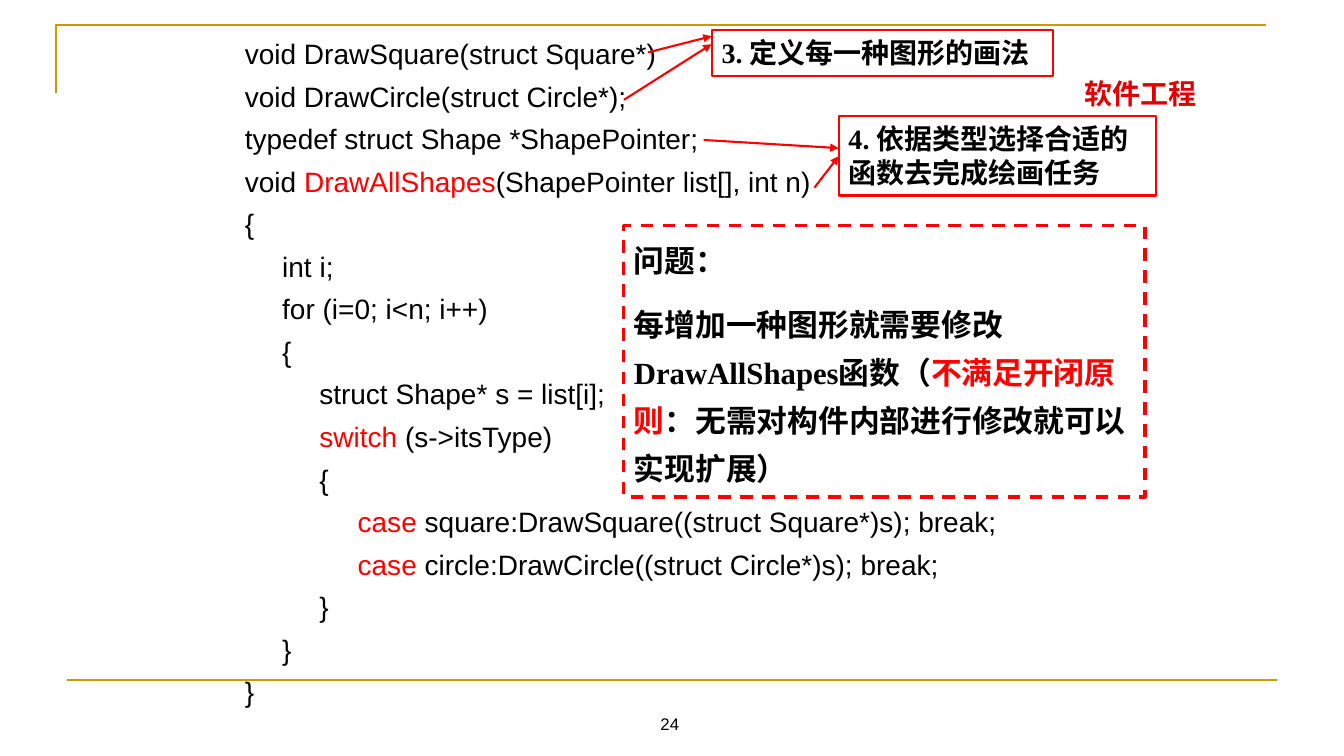
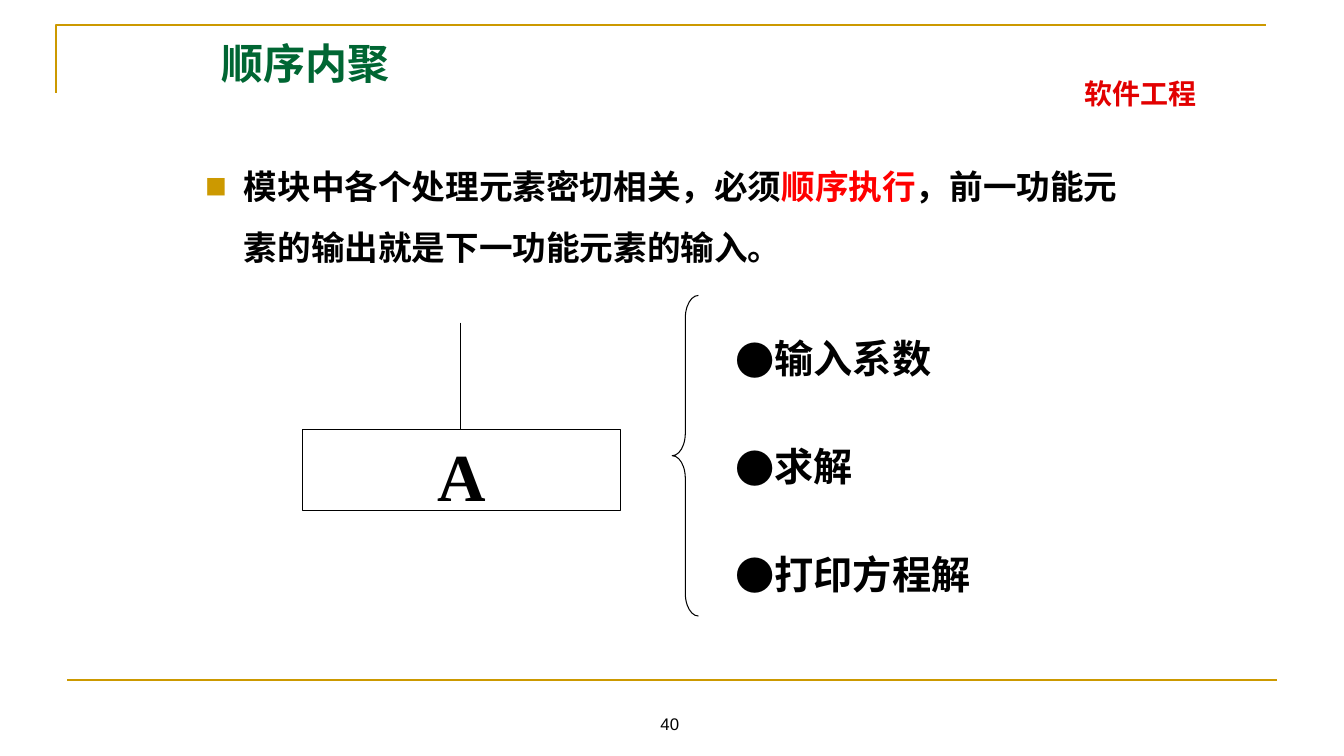
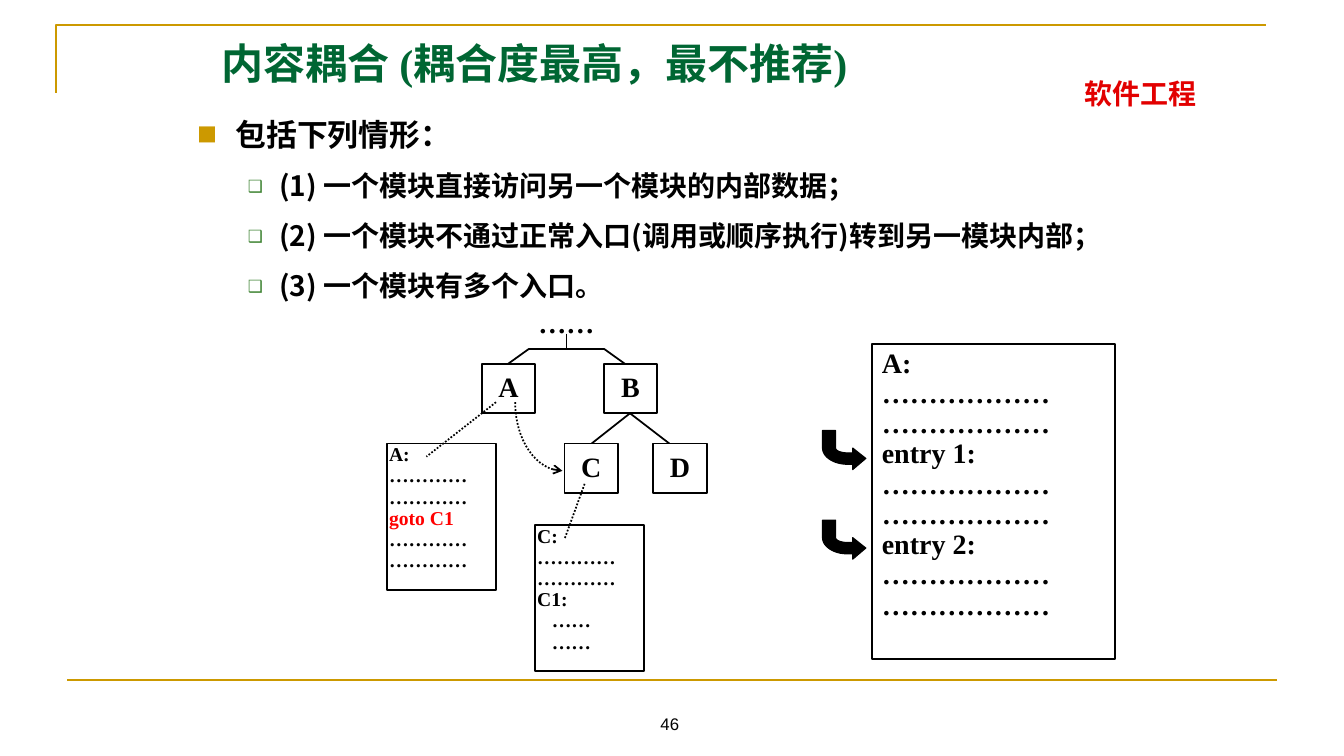
import math
from lxml import etree
from pptx import Presentation
from pptx.dml.color import RGBColor
from pptx.enum import dml, shapes, text
from pptx.oxml import ns
from pptx.util import Pt

BLACK, WHITE, RED = "000000", "FFFFFF", "FF0000"
GOLD, GREEN, CRIMSON, LEAF = "CC9900", "006633", "E20000", "3B812F"
SERIF, SANS, CJK = "Times New Roman", "Arial", "Noto Sans CJK SC"
CENTER = text.PP_ALIGN.CENTER
DOTTED = dml.MSO_LINE.ROUND_DOT
SQUARE = dict(bullet="■", bullet_color=GOLD, bullet_size=65)
HOLLOW = dict(bullet="❑", bullet_color=LEAF, bullet_size=60)


def rgb(color):
    return RGBColor.from_string(color)


def add_xml(parent, tag, **attributes):
    return etree.SubElement(parent, ns.qn(tag), attributes)


def add_para(frame, words, size=20, color=BLACK, accent=RED, bold=True, font=SERIF, asian=CJK,
             line=None, before=0, align=text.PP_ALIGN.LEFT, left=0, hang=0,
             bullet=None, bullet_color=BLACK, bullet_size=100):
    para = frame.add_paragraph() if frame.text else frame.paragraphs[0]
    para.alignment = align
    para.space_before = Pt(before)
    if line:
        para.line_spacing = Pt(line)
    for index, part in enumerate(words.split("|")):
        if not part:
            continue
        span = para.add_run()
        span.text = part
        span.font.size = Pt(size)
        span.font.bold = bold
        span.font.name = font
        span.font.color.rgb = rgb(accent if index % 2 else color)
        latin = span.font._element.find(ns.qn("a:latin"))
        latin.addnext(latin.makeelement(ns.qn("a:ea"), {"typeface": asian}))
    layout = para._p.get_or_add_pPr()
    layout.set("marL", str(Pt(left)))
    layout.set("indent", str(Pt(-hang)))
    if bullet:
        add_xml(add_xml(layout, "a:buClr"), "a:srgbClr", val=bullet_color)
        add_xml(layout, "a:buSzPct", val=str(bullet_size * 1000))
        add_xml(layout, "a:buFont", typeface=CJK)
        add_xml(layout, "a:buChar", char=bullet)


def fill_frame(frame, lines, inset=(7.2, 3.6), anchor=text.MSO_ANCHOR.TOP, first=0, **style):
    frame.word_wrap = True
    frame.auto_size = text.MSO_AUTO_SIZE.NONE
    frame.vertical_anchor = anchor
    frame.margin_left = frame.margin_right = Pt(inset[0])
    frame.margin_top = frame.margin_bottom = Pt(inset[1])
    for index, line in enumerate(lines):
        words, extra = line if isinstance(line, tuple) else (line, {})
        look = {**style, **extra}
        if index == 0:
            look["before"] = first
        add_para(frame, words, **look)


def paint(shape, outline=BLACK, weight=1.25, fill=None, dash=None):
    shape.shadow.inherit = False
    if fill:
        shape.fill.solid()
        shape.fill.fore_color.rgb = rgb(fill)
    else:
        shape.fill.background()
    shape.line.color.rgb = rgb(outline)
    shape.line.width = Pt(weight)
    if dash:
        shape.line.dash_style = dash


def add_text(page, box, lines, **style):
    area = page.shapes.add_textbox(*map(Pt, box))
    fill_frame(area.text_frame, lines, **style)
    return area


def add_panel(page, box, lines, outline=BLACK, weight=1.25, fill=None, dash=None, **style):
    panel = page.shapes.add_shape(shapes.MSO_SHAPE.RECTANGLE, *map(Pt, box))
    paint(panel, outline, weight, fill, dash)
    fill_frame(panel.text_frame, lines, **style)


def add_arrowhead(shape, kind):
    add_xml(shape.line._get_or_add_ln(), "a:tailEnd", type=kind)


def add_line(page, start, end, color=BLACK, weight=1.25, dash=None, head=None):
    line = page.shapes.add_connector(shapes.MSO_CONNECTOR.STRAIGHT, *map(Pt, start + end))
    line.line.color.rgb = rgb(color)
    line.line.width = Pt(weight)
    if dash:
        line.line.dash_style = dash
    if head:
        add_arrowhead(line, head)
    add_xml(line._element.spPr, "a:effectLst")
    return line


def add_outline(page, points, close=False, **look):
    spots = [(Pt(x), Pt(y)) for x, y in points]
    builder = page.shapes.build_freeform(*spots[0], scale=1.0)
    builder.add_line_segments(spots[1:], close=close)
    outline = builder.convert_to_shape()
    paint(outline, **look)
    return outline


def quarter(center, radii, start, end, steps=16):
    angles = [math.radians(start + (end - start) * i / steps) for i in range(steps + 1)]
    return [(center[0] + radii[0] * math.cos(a), center[1] + radii[1] * math.sin(a))
            for a in angles]


def dress_master(deck, page):
    parts = [
        add_outline(page, [(40.3, 66.2), (40.3, 18), (904.3, 18)], outline=GOLD, weight=1.5),
        add_line(page, (48.2, 486), (912.2, 486), GOLD, 1.5),
        add_text(page, (661.7, 49, 306, 31), ["软件工程"], color=CRIMSON, line=26,
                 font="Noto Sans CJK JP", align=CENTER),
    ]
    for number, part in enumerate(parts, 101):
        part._element.xpath(".//p:cNvPr")[0].set("id", str(number))
        deck.slide_master.shapes._spTree.append(part._element)


def add_page(deck, number, title=None):
    page = deck.slides.add_slide(deck.slide_layouts[5 if title else 6])
    if title:
        heading = page.shapes.title
        heading.left, heading.top, heading.width, heading.height = map(Pt, (151.2, 20.2, 612, 56.9))
        fill_frame(heading.text_frame, [title], size=30, color=GREEN, line=39)
    add_text(page, (366.5, 491.8, 223.9, 36), [str(number)], anchor=text.MSO_ANCHOR.BOTTOM,
             size=12, bold=False, font=SANS, align=CENTER)
    return page


def add_code(page, box):
    levels = [(27.4, 27.4), (52.6, 25.9), (80.6, 27.4), (105.8, 25.2)]
    code = [
        (0, "void DrawSquare(struct Square*)"),
        (0, "void DrawCircle(struct Circle*);"),
        (0, "typedef struct Shape *ShapePointer;"),
        (0, "void |DrawAllShapes|(ShapePointer list[], int n)"),
        (0, "{"),
        (1, "int i;"),
        (1, "for (i=0; i<n; i++)"),
        (1, "{"),
        (2, "struct Shape* s = list[i];"),
        (2, "|switch| (s->itsType)"),
        (2, "{"),
        (3, "|case| square:DrawSquare((struct Square*)s); break;"),
        (3, "|case| circle:DrawCircle((struct Circle*)s); break;"),
        (2, "}"),
        (1, "}"),
        (0, "}"),
    ]
    # indents follow the nesting level
    lines = [(words, dict(left=levels[level][0], hang=0)) for level, words in code]
    lines = [(words, dict(look, left=look["left"] - (levels[level][1]), hang=0))
             for (level, _), (words, look) in zip(code, lines)]
    add_text(page, box, lines, bold=False, font=SANS, line=26.4, before=4, first=0.5)


def add_callout(page, box, words, tails):
    add_panel(page, box, [words], outline=RED, weight=1.5, line=24.5, first=1.5)
    for start, drop in tails:
        add_line(page, start, (box[0], box[1] + drop), RED, 1.5, head="triangle")


def add_problem(page, box):
    add_panel(page, box, [
        "问题：",
        "每增加一种图形就需要修改DrawAllShapes函数（|不满足开闭原则|：无需对构件内部进行修改就可以实现扩展）",
    ], outline=RED, weight=2.25, dash=dml.MSO_LINE.DASH, size=22, line=34.3, before=11, first=2)


def add_module(page, left, top):
    add_panel(page, (left, top + 76.5, 227, 57.6), ["A"], weight=0.75, fill=WHITE,
              size=48, align=CENTER, first=5)
    add_line(page, (left + 113.2, top), (left + 113.2, top + 76.5), weight=0.75)


def add_steps(page, left, top):
    brace = page.shapes.add_shape(shapes.MSO_SHAPE.LEFT_BRACE, *map(Pt, (left, top + 18.8, 18.7, 229)))
    brace.adjustments[0] = 0.867
    paint(brace, weight=0.75)
    add_text(page, (left + 38.2, top, 208, 248.4),
             [("输入系数", dict(font="Karla")), "求解", "打印方程解"],
             size=28, line=77, first=3.5, bullet="●")


def add_listing(page, box, lines):
    add_panel(page, box, lines, fill=WHITE, inset=(1.4, 0.7), size=14, line=15.1, asian=SERIF)


def add_call_tree(page, left, top):
    def at(x, y):
        return left + x, top + y

    add_text(page, at(101.5, 0) + (53.3, 21.6), ["……"], inset=(4.3, 0.7), line=22.5,
             asian=SERIF, align=CENTER)
    for start, end in [
        ((128.1, 19.4), (128.1, 30.2)), ((101.5, 30.2), (154.8, 30.2)),
        ((101.5, 30.2), (86.4, 41)), ((154.8, 30.2), (169.9, 41)),
        ((173.5, 76.3), (146.1, 97.9)), ((173.5, 76.3), (201.6, 97.9)),
    ]:
        add_line(page, at(*start), at(*end))
    for name, x, y in [("A", 67.7, 41), ("B", 154.8, 41), ("C", 126.7, 97.9), ("D", 190.1, 97.9)]:
        add_panel(page, at(x, y) + (38.2, 35.3), [name], fill=WHITE, inset=(1.4, 4.3),
                  line=24, align=CENTER)
    jump = add_outline(page, quarter(at(125.3, 68.4), (33.8, 49), 180, 90), dash=DOTTED)
    add_arrowhead(jump, "arrow")
    dots, short = "…………", ("……", dict(left=10.5))
    add_listing(page, at(0, 97.9) + (77.8, 104.4), ["A:", dots, dots, "|goto C1|", dots, dots])
    add_listing(page, at(105.8, 156.2) + (77.8, 104.4), ["C:", dots, dots, "C1:", short, short])
    add_line(page, at(77.8, 68.4), at(28.1, 107.3), dash=DOTTED)
    add_line(page, at(141.1, 126.7), at(126.7, 166.3), dash=DOTTED)


def add_entry_arrow(page, left, top):
    points = [(31, 20), (21.6, 28), (21.6, 24.2)]
    points += quarter((18, 12.5), (18, 11.7), 90, 180)
    points += [(0, 0), (9.4, 0)]
    points += quarter((18, 12.5), (8.6, 3.5), 180, 90)
    points += [(21.6, 16), (21.6, 12.5)]
    add_outline(page, [(left + x, top + y) for x, y in points], close=True, fill=BLACK, weight=0.75)


def add_entries(page, left, top):
    dots = "………………"
    lines = [words for label in ("A:", "entry 1:", "entry 2:") for words in (label, dots, dots)]
    add_panel(page, (left + 35.3, top, 173.5, 225.4), lines, fill=WHITE, line=21.6, asian=SERIF)
    for drop in (62, 126):
        add_entry_arrow(page, left, top + drop)


def build_code_page(deck):
    page = add_page(deck, 24)
    dress_master(deck, page)
    add_code(page, (167.8, 20.2, 563.8, 504.7))
    add_problem(page, (445.7, 161.3, 372.2, 193.7))
    add_callout(page, (508.3, 21.6, 244, 32.6), "3. 定义每一种图形的画法",
                [((463, 37.4), 4.3), ((445.7, 71.3), 10)])
    add_callout(page, (599, 82.8, 226.8, 56.9), "4. 依据类型选择合适的函数去完成绘画任务",
                [((502.6, 100), 23), ((581.8, 134), 28.8)])


def build_cohesion_page(deck):
    page = add_page(deck, 40, "顺序内聚")
    add_text(page, (139.7, 100.1, 686.2, 108),
             ["模块中各个处理元素密切相关，必须|顺序执行|，前一功能元素的输出就是下一功能元素的输入。"],
             size=24, font=CJK, line=43.6, first=2.5, left=27.4, hang=27.4, **SQUARE)
    add_module(page, 216, 230.4)
    add_steps(page, 480.2, 192.2)


def build_coupling_page(deck):
    page = add_page(deck, 46, "内容耦合 (耦合度最高，最不推荐)")
    cases = ["(1) 一个模块直接访问另一个模块的内部数据；",
             "(2) 一个模块不通过正常入口(调用或顺序执行)转到另一模块内部；",
             "(3) 一个模块有多个入口。"]
    lead = ("包括下列情形：", dict(size=22, line=34.3, left=27.4, hang=27.4, **SQUARE))
    add_text(page, (133.9, 71.3, 680.4, 158.4), [lead] + cases, font=CJK, line=31.5,
             before=4, first=2, left=58.3, hang=22.3, **HOLLOW)
    add_call_tree(page, 276.5, 218.9)
    add_entries(page, 587.5, 245.5)


def main():
    deck = Presentation()
    deck.slide_width, deck.slide_height = Pt(960), Pt(540)
    build_code_page(deck)
    build_cohesion_page(deck)
    build_coupling_page(deck)
    deck.save("out.pptx")


if __name__ == "__main__":
    main()
